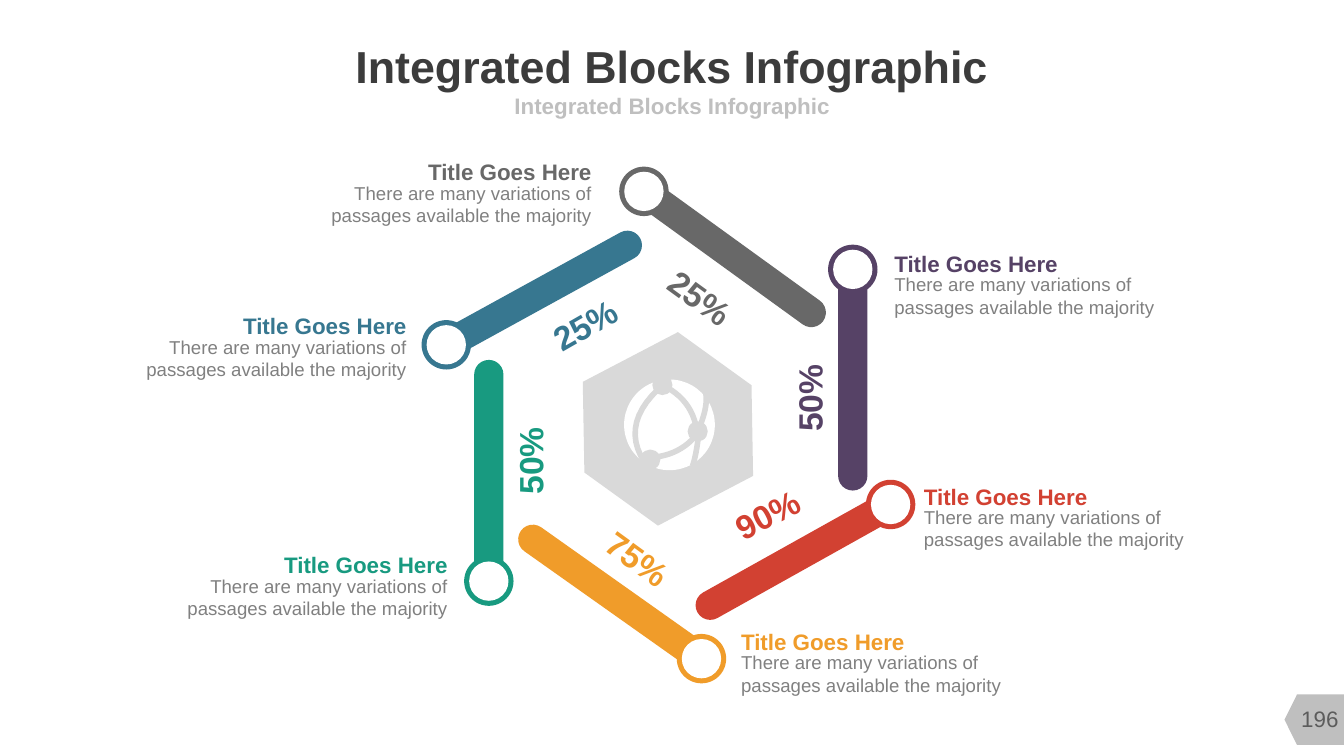
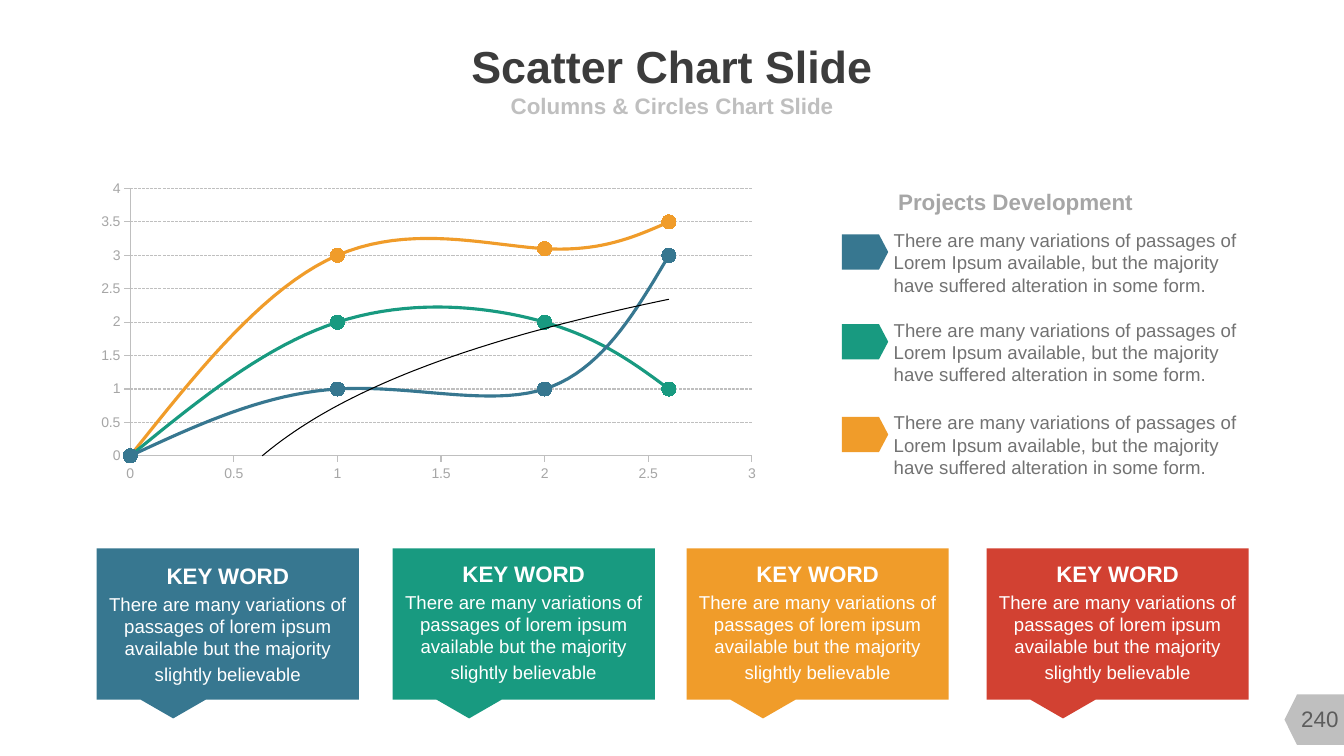
from math import cos, radians, sin

from lxml import etree
from pptx import Presentation
from pptx.chart.data import XyChartData
from pptx.dml.color import RGBColor
from pptx.enum.chart import XL_CHART_TYPE as CHART, XL_MARKER_STYLE as MARKER
from pptx.enum.chart import XL_TICK_MARK as TICK
from pptx.enum.dml import MSO_LINE_DASH_STYLE as DASH
from pptx.enum.shapes import MSO_SHAPE as SHAPE
from pptx.enum.text import MSO_ANCHOR as ANCHOR, MSO_AUTO_SIZE as FIT, PP_ALIGN as ALIGN
from pptx.oxml.ns import qn
from pptx.util import Inches, Pt

FONT = "Arial"
COLORS = {
    "blue": "377790", "green": "189A80", "orange": "F09C2A", "red": "D24132",
    "purple": "564266", "gray": "686868", "white": "FFFFFF", "black": "000000",
    "title": "3C3C3C", "silver": "BFBFBF", "pale": "D9D9D9", "label": "A6A6A6",
    "caption": "808080", "passage": "727272", "number": "5C5C5C",
}
HEADING = {"size": 16, "bold": True}
BODY = {"size": 13.3}
GAP = Pt(2.7)

# Bar centre and turn, percentage with centre and turn,
# caption edge, top and alignment (grid cells and degrees)
ARMS = [
    ("blue", (53.55, 29.1), 241.2, "25%", (57.98, 32.2), 330.1, (40.33, 31), ALIGN.RIGHT),
    ("green", (48.48, 47.05), 180, "50%", (52.55, 45.7), 270, (44.4, 54.7), ALIGN.RIGHT),
    ("orange", (60.92, 59.22), 125.3, "75%", (63.25, 55.4), 36, (73.5, 62.3), ALIGN.LEFT),
    ("red", (79.08, 55.22), 60.8, "90%", (76.08, 51), 332.6, (91.63, 47.9), ALIGN.LEFT),
    ("purple", (84.58, 37.32), 0, "50%", (80.25, 39.5), 270, (88.7, 24.8), ALIGN.LEFT),
    ("gray", (72.45, 25.2), 305.9, "25%", (69.45, 29.5), 36, (58.68, 15.7), ALIGN.RIGHT),
]
KNOB_REACH = 10.6

# Start, control and end point of each curve on the globe
MERIDIANS = [
    ((65.3, 38.6), (61.2, 42.5), (64.4, 46.5)),
    ((65.7, 38.2), (68.6, 39.6), (69.1, 42.6)),
    ((69.2, 43), (67.5, 45.2), (64.5, 45.4)),
    ((69.9, 38.6), (70.4, 40), (69.3, 42.6)),
    ((69.3, 43), (69.1, 45), (68.7, 46.2)),
]
GLOBE_NODES = [(65.7, 38.2), (69.2, 42.8), (64.5, 45.6)]

CHART_X = (0, 1, 2, 2.6)
SERIES = [
    ("Series 1", "blue", (0, 1, 1, 3)),
    ("Series 2", "green", (0, 2, 2, 1)),
    ("Series 3", "orange", (0, 3, 3.1, 3.5)),
    ("Series 4", "red", (None, None, None, None)),
]
PASSAGES = [("blue", 22.2), ("green", 31.1), ("orange", 40.3)]
# Left edge and text inset of each callout
CALLOUTS = [("blue", 9.6, 1.35), ("green", 38.95, 1.15),
            ("orange", 68.1, 1.15), ("red", 97.85, 1.15)]


def cell(n):
    """Length of n grid cells, each a tenth of an inch."""
    return Inches(n / 10)


def rgb(name):
    return RGBColor.from_string(COLORS[name])


def style(font, color, **fmt):
    font.color.rgb = rgb(color)
    for key, value in {"name": FONT, **fmt}.items():
        setattr(font, key, Pt(value) if key == "size" else value)


def stroke(line, color, width):
    line.color.rgb = rgb(color)
    line.width = Pt(width)


def setup(tf, insets=(0, 0, 0, 0), anchor=ANCHOR.TOP, wrap=True):
    """Set frame insets (left, top, right, bottom, in cells), anchor and wrapping."""
    values = dict(zip(("left", "top", "right", "bottom"), insets))
    for side, value in values.items():
        setattr(tf, f"margin_{side}", cell(value))
    tf.auto_size = FIT.NONE
    tf.vertical_anchor = anchor
    tf.word_wrap = wrap


def write(tf, lines, align=ALIGN.LEFT):
    """Fill a frame with (text, color, format) paragraphs."""
    for i, (text, color, fmt) in enumerate(lines):
        p = tf.add_paragraph() if i else tf.paragraphs[0]
        p.alignment = align
        p.space_before = GAP if i else Pt(0)
        r = p.add_run()
        r.text = text
        style(r.font, color, **fmt)


def textbox(s, box, text, color, fmt, align=ALIGN.LEFT, rotation=0, **frame):
    sp = s.shapes.add_textbox(*map(cell, box))
    sp.rotation = rotation
    setup(sp.text_frame, **frame)
    write(sp.text_frame, [(text, color, fmt)], align)


def shape(s, kind, box, color, rotation=0):
    sp = s.shapes.add_shape(kind, *map(cell, box))
    sp.shadow.inherit = False
    sp.fill.solid()
    sp.fill.fore_color.rgb = rgb(color)
    sp.line.fill.background()
    sp.rotation = rotation
    return sp


def around(center, width, height):
    x, y = center
    return x - width / 2, y - height / 2, width, height


def disc(s, center, size, color):
    shape(s, SHAPE.OVAL, around(center, size, size), color)


def place_headers(layout):
    """Move the layout's title and body to the places all slides inherit."""
    boxes = [(25.55, 3.9, 82.2, 5.2), (36.67, 9, 60, 2.9)]
    for holder, box in zip(layout.placeholders, boxes):
        for side, value in zip(("left", "top", "width", "height"), box):
            setattr(holder, side, cell(value))


def new_slide(prs, layout, title, subtitle, number):
    s = prs.slides.add_slide(layout)
    heads = [(s.shapes.title, title, "title", {"size": 32, "bold": True}),
             (s.placeholders[1], subtitle, "silver", HEADING)]
    for holder, text, color, fmt in heads:
        setup(holder.text_frame, anchor=ANCHOR.MIDDLE)
        pPr = holder.text_frame.paragraphs[0]._p.get_or_add_pPr()
        pPr.set("marL", "0")
        pPr.set("indent", "0")
        etree.SubElement(pPr, qn("a:buNone"))
        write(holder.text_frame, [(text, color, fmt)], ALIGN.CENTER)
    shape(s, SHAPE.FLOWCHART_OFFPAGE_CONNECTOR, (128, 68.3, 5, 6.2), "silver", 90)
    textbox(s, (127.55, 69.3, 6.7, 4), number, "number", {"size": 16}, ALIGN.CENTER,
            anchor=ANCHOR.MIDDLE, wrap=False)
    return s


def add_arm(s, color, center, turn, percent, percent_at, percent_turn, caption, align):
    bar = shape(s, SHAPE.ROUNDED_RECTANGLE, around(center, 2.9, 22.7), color, turn)
    bar.adjustments[0] = 0.5
    knob = (center[0] + KNOB_REACH * sin(radians(turn)),
            center[1] - KNOB_REACH * cos(radians(turn)))
    disc(s, knob, 4.9, color)
    disc(s, knob, 3.9, "white")
    textbox(s, around(percent_at, 6.7, 4), percent, color, {"size": 24, "bold": True},
            ALIGN.CENTER, percent_turn, anchor=ANCHOR.MIDDLE, wrap=False)
    edge, top = caption
    width = 27.1
    left = edge - width if align == ALIGN.RIGHT else edge
    textbox(s, (left, top, width, 2.7), "Title Goes Here", color, HEADING, align)
    textbox(s, (left, top + 2.3, width, 4.5),
            "There are many variations of passages available the majority",
            "caption", BODY, align)


def add_curve(s, start, control, end, steps=12):
    """Draw an open quadratic curve."""
    points = []
    for i in range(steps + 1):
        t = i / steps
        points.append(tuple(cell((1 - t) ** 2 * a + 2 * t * (1 - t) * b + t * t * c)
                            for a, b, c in zip(start, control, end)))
    builder = s.shapes.build_freeform(*points[0])
    builder.add_line_segments(points[1:], close=False)
    sp = builder.convert_to_shape()
    sp.shadow.inherit = False
    sp.fill.background()
    stroke(sp.line, "pale", 4)


def add_globe(s):
    shape(s, SHAPE.HEXAGON, (56.9, 34.5, 18.7, 16.1), "pale", 332.4)
    disc(s, (66.4, 42.15), 9, "white")
    for curve in MERIDIANS:
        add_curve(s, *curve)
    for node in GLOBE_NODES:
        disc(s, node, 2, "pale")


def add_trendline(series):
    """Add a thin logarithmic trend line to a series."""
    trend = etree.Element(qn("c:trendline"))
    spPr = etree.SubElement(trend, qn("c:spPr"))
    ln = etree.SubElement(spPr, qn("a:ln"), w=str(Pt(0.75)))
    fill = etree.SubElement(ln, qn("a:solidFill"))
    etree.SubElement(fill, qn("a:srgbClr"), val=COLORS["black"])
    for tag, val in (("trendlineType", "log"), ("dispRSqr", "0"), ("dispEq", "0")):
        etree.SubElement(trend, qn(f"c:{tag}"), val=val)
    series._element.find(qn("c:xVal")).addprevious(trend)


def smooth_curve(series):
    """Round the series' line and leave its missing values empty."""
    ser = series._element
    for old in ser.findall(qn("c:smooth")):
        ser.remove(old)
    smooth = etree.Element(qn("c:smooth"), val="1")
    ser.find(qn("c:yVal")).addnext(smooth)
    for pt in list(ser.find(qn("c:yVal")).iter(qn("c:pt"))):
        if pt.findtext(qn("c:v")) in ("None", "", None):
            pt.getparent().remove(pt)


def add_scatter(s):
    data = XyChartData()
    for name, _, values in SERIES:
        points = data.add_series(name)
        for x, y in zip(CHART_X, values):
            points.add_data_point(x, y)
    chart = s.shapes.add_chart(CHART.XY_SCATTER_SMOOTH,
                               *map(cell, (8.7, 17.3, 67.6, 31.1)), data).chart
    chart.has_legend = chart.has_title = False
    style(chart.font, "label", size=10)
    plot = chart.plots[0]
    plot.vary_by_categories = False
    for series, (_, color, _) in zip(plot.series, SERIES):
        smooth_curve(series)
        stroke(series.format.line, color, 2.25)
        marker = series.marker
        marker.style, marker.size = MARKER.CIRCLE, 10
        marker.format.fill.solid()
        marker.format.fill.fore_color.rgb = rgb(color)
        stroke(marker.format.line, color, 0.75)
    for axis, top, gridlines in ((chart.category_axis, 3, False),
                                 (chart.value_axis, 4, True)):
        options = {"minimum_scale": 0, "maximum_scale": top, "major_unit": 0.5,
                   "major_tick_mark": TICK.OUTSIDE, "minor_tick_mark": TICK.NONE,
                   "has_major_gridlines": gridlines}
        for key, value in options.items():
            setattr(axis, key, value)
        stroke(axis.format.line, "silver", 0.75)
    grid = chart.value_axis.major_gridlines.format.line
    stroke(grid, "silver", 0.75)
    grid.dash_style = DASH.SQUARE_DOT
    add_trendline(plot.series[0])


def add_passage(s, color, top):
    shape(s, SHAPE.FLOWCHART_OFFPAGE_CONNECTOR, (84.05, top + 0.5, 3.5, 4.6), color, 270)
    textbox(s, (87.65, top, 37.2, 7.7),
            "There are many variations of passages of Lorem Ipsum available, "
            "but the majority have suffered alteration in some form.",
            "passage", BODY, insets=(1, 0.5, 1, 0.5))


def add_callout(s, color, left, inset):
    sp = shape(s, SHAPE.RECTANGULAR_CALLOUT, (left, 54.4, 26, 15), color)
    setup(sp.text_frame, insets=(0.9, inset, 0.9, 0))
    write(sp.text_frame, [
        ("KEY WORD", "white", HEADING),
        ("There are many variations of passages of lorem ipsum available "
         "but the majority", "white", BODY),
        ("slightly believable", "white", BODY),
    ], ALIGN.CENTER)


def main():
    prs = Presentation()
    prs.slide_width, prs.slide_height = Inches(13.33), Inches(7.5)
    layout = prs.slide_layouts[1]
    place_headers(layout)

    blocks = "Integrated Blocks Infographic"
    s = new_slide(prs, layout, blocks, blocks, "196")
    add_globe(s)
    for arm in ARMS:
        add_arm(s, *arm)

    s = new_slide(prs, layout, "Scatter Chart Slide", "Columns & Circles Chart Slide", "240")
    add_scatter(s)
    textbox(s, (88.1, 18.2, 28.2, 3.7), "Projects Development", "label", HEADING,
            insets=(1, 0.5, 1, 0.5))
    for passage in PASSAGES:
        add_passage(s, *passage)
    for callout in CALLOUTS:
        add_callout(s, *callout)
    prs.save("out.pptx")


if __name__ == "__main__":
    main()
